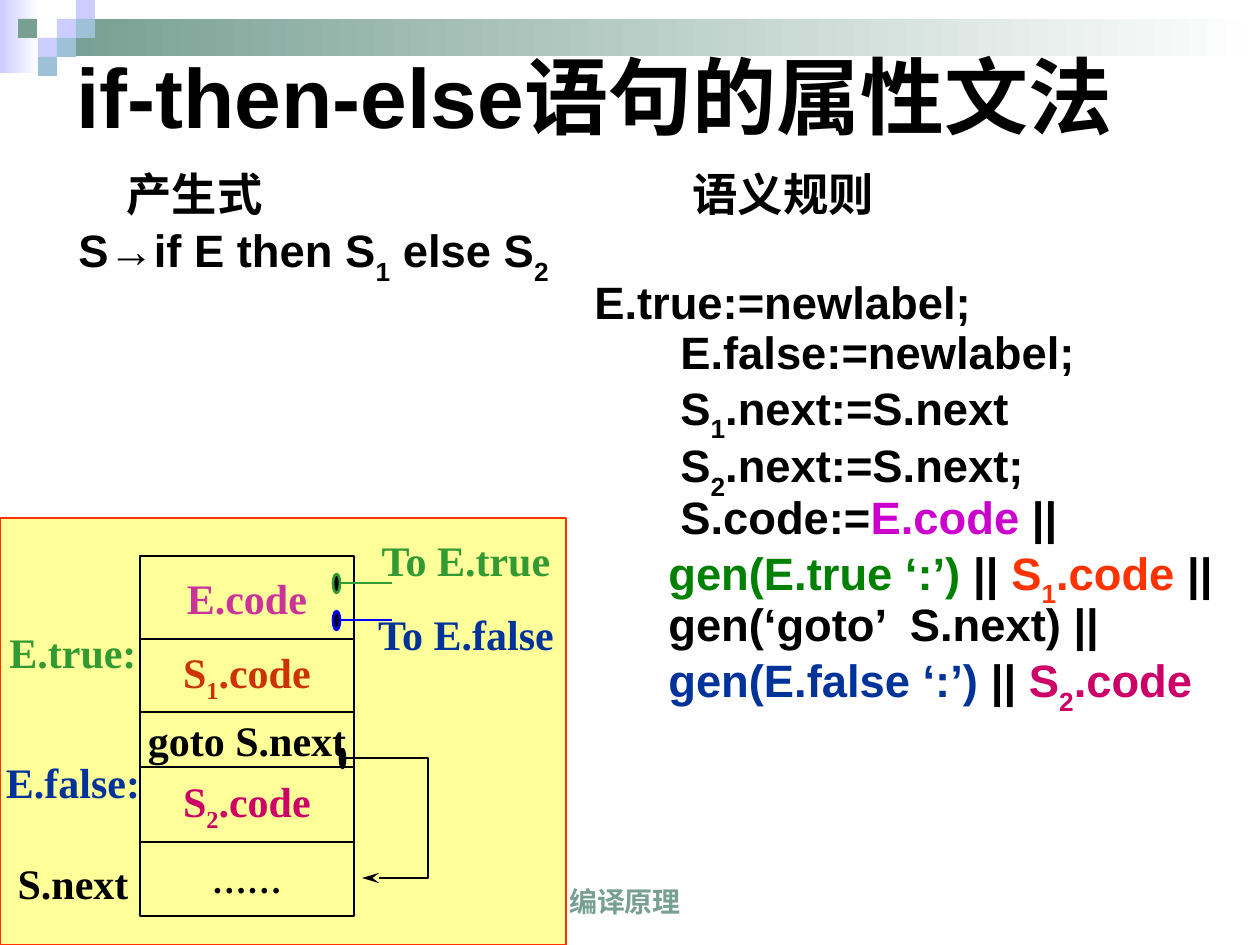
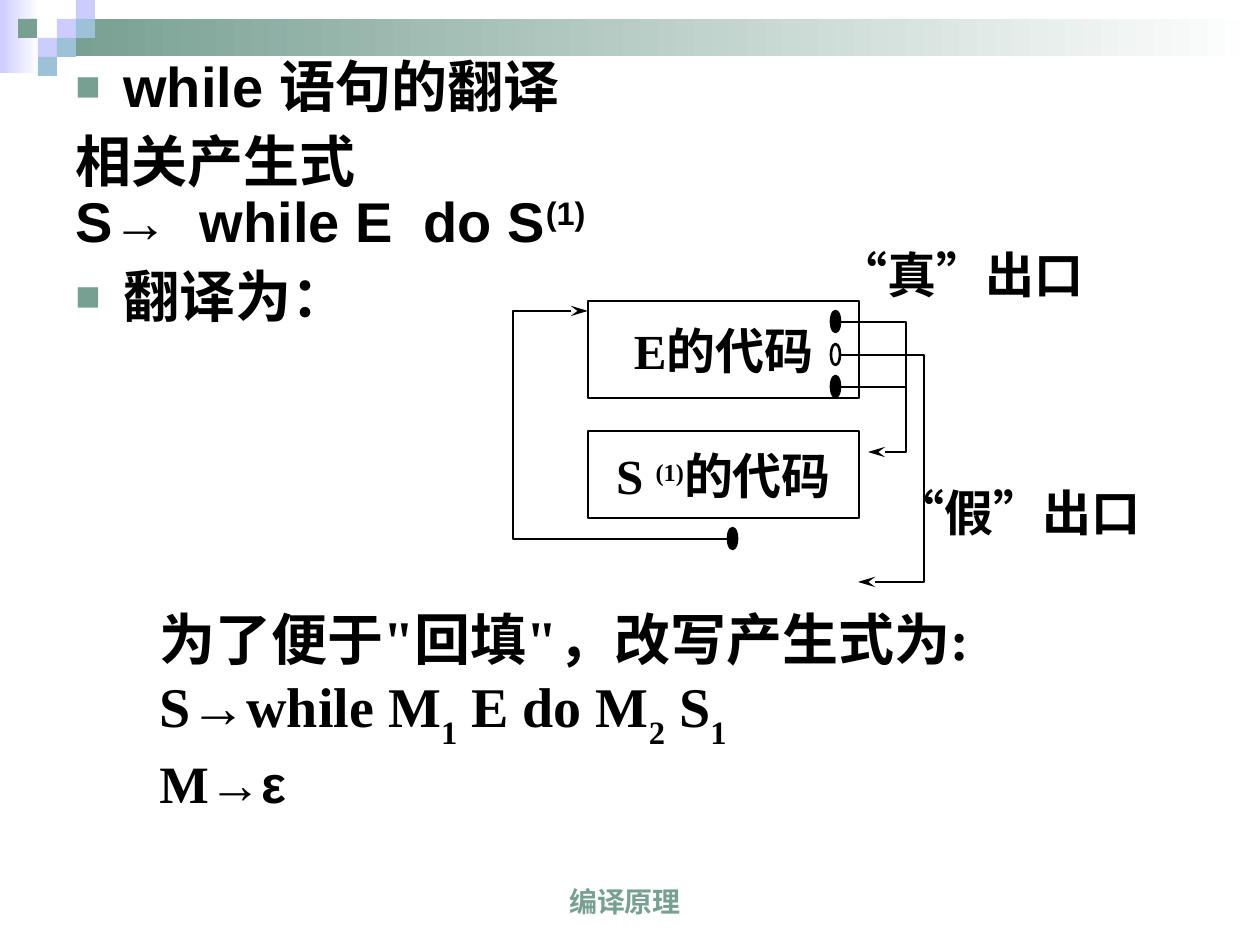
"""Build two slides on attribute grammars and translation of control statements."""
from lxml.etree import SubElement
from pptx import Presentation
from pptx.dml.color import RGBColor as RGB
from pptx.enum.shapes import MSO_CONNECTOR as CONN, MSO_SHAPE as SHAPE
from pptx.enum.text import MSO_ANCHOR as ANCHOR, PP_ALIGN as ALIGN
from pptx.oxml.ns import qn
from pptx.util import Emu, Pt

PX = 914400 / 126
WIDTH, HEIGHT = 1260, 945
SANS, SERIF = "Arial", "Times New Roman"
BLACK = RGB(0x00, 0x00, 0x00)
WHITE = RGB(0xFF, 0xFF, 0xFF)
LILAC = RGB(0xCC, 0xCC, 0xFF)
SAGE = RGB(0x77, 0x9F, 0x92)
SKY = RGB(0x9D, 0xC2, 0xD7)
YELLOW = RGB(0xFF, 0xFF, 0x99)
RED = RGB(0xFF, 0x33, 0x00)
BRICK = RGB(0xCC, 0x33, 0x00)
PINK = RGB(0xCC, 0x33, 0x99)
MAGENTA = RGB(0xCC, 0x00, 0xCC)
CRIMSON = RGB(0xCC, 0x00, 0x66)
GREEN = RGB(0x00, 0x80, 0x00)
LEAF = RGB(0x33, 0x99, 0x33)
NAVY = RGB(0x00, 0x33, 0x99)
BLUE = RGB(0x00, 0x00, 0xFF)


def px(n):
    return Emu(round(n * PX))


def tint(text, color, base=0):
    return text, {"color": color, "base": base}


def sub(text, color=BLACK, base=-30):
    return tint(text, color, base)


class Deck:
    """Hold the shared style and the current slide."""

    def __init__(self):
        self.prs = Presentation()
        self.prs.slide_width, self.prs.slide_height = px(WIDTH), px(HEIGHT)

    def slide(self):
        self.s = self.prs.slides.add_slide(self.prs.slide_layouts[6])
        self.band(0, 0, 39, 73, LILAC)
        self.band(57, 19, 1203, 37, SAGE)
        squares = ((57, 19, LILAC), (76, 0, LILAC), (76, 19, SKY), (38, 38, LILAC),
                   (18, 19, SAGE), (57, 38, SKY), (38, 57, SKY))
        for x, y, color in squares:
            self.shape(x, y, 19, 19, fill=color)
        tf = self.text(402, 861, 446, 63, ANCHOR.BOTTOM)
        self.para(tf, ["编译原理"], 16, SANS, SAGE, align=ALIGN.CENTER)

    def shape(self, x, y, w, h, kind=SHAPE.RECTANGLE, fill=None, line=None):
        sp = self.s.shapes.add_shape(kind, px(x), px(y), px(w), px(h))
        self.paint(sp, fill, line)
        return sp

    def paint(self, sp, fill, line):
        sp.shadow.inherit = False
        if fill is None:
            sp.fill.background()
        else:
            sp.fill.solid()
            sp.fill.fore_color.rgb = fill
        if line is None:
            sp.line.fill.background()
        else:
            self.stroke(sp, line)

    def stroke(self, sp, color):
        sp.line.color.rgb = color
        sp.line.width = Pt(1.5)

    def band(self, x, y, w, h, color):
        fill = self.shape(x, y, w, h).fill
        fill.gradient()
        fill.gradient_angle = 0
        for stop, rgb in zip(fill.gradient_stops, (color, WHITE)):
            stop.color.rgb = rgb

    def dot(self, x, y, line=BLACK, fill=BLACK, w=9, h=21):
        self.shape(x, y, w, h, SHAPE.OVAL, fill, line)

    def line(self, x1, y1, x2, y2, color=BLACK):
        cn = self.s.shapes.add_connector(CONN.STRAIGHT, px(x1), px(y1), px(x2), px(y2))
        self.stroke(cn, color)
        SubElement(cn._element.spPr, qn("a:effectLst"))

    def arrow(self, start, *points):
        fb = self.s.shapes.build_freeform(px(start[0]), px(start[1]))
        fb.add_line_segments([(px(x), px(y)) for x, y in points], close=False)
        sp = fb.convert_to_shape()
        self.paint(sp, None, BLACK)
        ln = sp._element.spPr.get_or_add_ln()
        SubElement(ln, qn("a:tailEnd"), type="stealth", w="med", len="lg")

    def text(self, x, y, w, h, anchor=ANCHOR.TOP):
        tf = self.s.shapes.add_textbox(px(x), px(y), px(w), px(h)).text_frame
        tf.word_wrap, tf.vertical_anchor = True, anchor
        return tf

    def para(self, tf, runs, size, font=SANS, color=BLACK, align=None, indent=0,
             spacing=None, before=0, bullet=None, tab=None):
        first = not tf.paragraphs[0].runs
        p = tf.paragraphs[0] if first else tf.add_paragraph()
        pPr = p._p.get_or_add_pPr()
        pPr.set("marL", str(px(indent)))
        if bullet:
            pPr.set("indent", str(-px(indent)))
            clr = SubElement(pPr, qn("a:buClr"))
            SubElement(clr, qn("a:srgbClr"), val=str(SAGE))
            SubElement(pPr, qn("a:buSzPct"), val="75000")
            SubElement(pPr, qn("a:buFont"), typeface=SANS)
            SubElement(pPr, qn("a:buChar"), char=bullet)
        if tab:
            tabs = SubElement(pPr, qn("a:tabLst"))
            SubElement(tabs, qn("a:tab"), pos=str(px(tab)), algn="l")
        p.alignment, p.line_spacing = align, spacing
        if before and not first:
            p.space_before = Pt(before)
        for run in runs:
            text, style = (run, {}) if isinstance(run, str) else run
            self.run(p, text, **{"size": size, "font": font, "color": color, **style})

    def run(self, p, text, size, font, color, base=0):
        r = p.add_run()
        r.text = text
        r.font.size, r.font.name, r.font.bold = Pt(size), font, True
        r.font.color.rgb = color
        if base:
            r._r.get_or_add_rPr().set("baseline", str(base * 1000))

    def label(self, x, y, w, h, text, size=24, color=BLACK):
        tf = self.text(x, y, w, h, ANCHOR.MIDDLE)
        tf.margin_left = tf.margin_right = 0
        self.para(tf, [text], size, SERIF, color, ALIGN.CENTER)

    def box(self, x, y, w, h, runs, size=24, color=BLACK):
        tf = self.shape(x, y, w, h, line=BLACK).text_frame
        tf.word_wrap, tf.vertical_anchor = False, ANCHOR.MIDDLE
        self.para(tf, runs, size, SERIF, color, ALIGN.CENTER)


def if_then_else(d):
    d.slide()
    tf = d.text(64, 0, 1134, 189, ANCHOR.MIDDLE)
    d.para(tf, ["if-then-else语句的属性文法"], 48)

    rules = (
        (48, ["产生式\t语义规则"]),
        (0, ["S→if E then S", sub("1"), " else S", sub("2")]),
        (516, ["E.true:=newlabel;"]),
        (602, ["E.false:=newlabel;"]),
        (602, ["S", sub("1"), ".next:=S.next"]),
        (602, ["S", sub("2"), ".next:=S.next;"]),
        (602, ["S.code:=", tint("E.code", MAGENTA), " ||"]),
        (590, [tint("gen(E.true ‘:’)", GREEN), " || ", tint("S", RED), sub("1", RED),
               tint(".code", RED), " ||"]),
        (590, ["gen(‘goto’  S.next) ||"]),
        (590, [tint("gen(E.false ‘:’)", NAVY), " || ", tint("S", CRIMSON),
               sub("2", CRIMSON), tint(".code", CRIMSON)]),
    )
    tf = d.text(66, 175, 1194, 567)
    for indent, runs in rules:
        d.para(tf, runs, 25.9, indent=indent, spacing=0.7, before=7,
               tab=566 if indent == 48 else None)

    d.shape(0, 518, 566, 427, fill=YELLOW, line=RED)
    y = 556
    cells = (
        (83, ["E.code"], 24, PINK),
        (73, ["S", sub("1", BRICK, -25), ".code"], 24, BRICK),
        (55, ["goto S.next"], 24, BLACK),
        (75, ["S", sub("2", CRIMSON, -25), ".code"], 24, CRIMSON),
        (74, ["……"], 20, BLACK),
    )
    for h, runs, size, color in cells:
        d.box(140, y, 214, h, runs, size, color)
        y += h

    for y, color in ((583, LEAF), (620, BLUE)):
        d.line(340, y, 392, y, color)
        d.dot(333, y - 9, color, w=7, h=19)
    d.arrow((344, 758), (428, 758), (428, 878), (362, 878))
    d.dot(340, 749, w=5, h=19)

    labels = ((366, 528, 200, "To E.true", LEAF), (366, 602, 200, "To E.false", NAVY),
              (0, 620, 146, "E.true:", LEAF), (0, 750, 146, "E.false:", NAVY),
              (0, 851, 146, "S.next", BLACK))
    for x, y, w, text, color in labels:
        d.label(x, y, w, 64, text, color=color)


def while_do(d):
    d.slide()
    lines = (
        (["while 语句的翻译"], 8, "■"),
        (["相关产生式"], 8, None),
        (["S→  while E  do S", sub("(1)", base=30)], 0, None),
        (["翻译为："], 8, "■"),
    )
    tf = d.text(63, 53, 1029, 305)
    for runs, before, bullet in lines:
        d.para(tf, runs, 32, indent=48 if bullet else 0, spacing=0.9,
               before=before, bullet=bullet)

    d.box(588, 301, 271, 97, ["E的代码"], 28)
    power = "(1)", {"size": 24, "base": 30}
    d.box(588, 431, 271, 87, ["S ", power, "的代码"], 28)

    d.arrow((840, 355), (924, 355), (924, 582), (858, 582))
    d.arrow((840, 322), (906, 322), (906, 452), (868, 452))
    d.line(840, 387, 906, 387)
    for y, fill in ((344, None), (311, BLACK), (376, BLACK)):
        d.dot(831, y, fill=fill)
    d.dot(728, 528)
    d.arrow((728, 539), (513, 539), (513, 311), (588, 311))

    for x, y, text in ((821, 236, "“真”出口"), (878, 474, "“假”出口")):
        d.label(x, y, 280, 76, text, 28)

    tf = d.text(147, 598, 935, 284)
    d.para(tf, ["为了便于\"回填\"，改写产生式为:"], 32, SERIF)
    d.para(tf, ["S→while M", sub("1"), " E do M", sub("2"), " S", sub("1")], 32, SERIF)
    d.para(tf, ["M→", ("ε", {"font": SANS})], 30, SERIF)


def main():
    d = Deck()
    if_then_else(d)
    while_do(d)
    d.prs.save("out.pptx")


if __name__ == "__main__":
    main()
